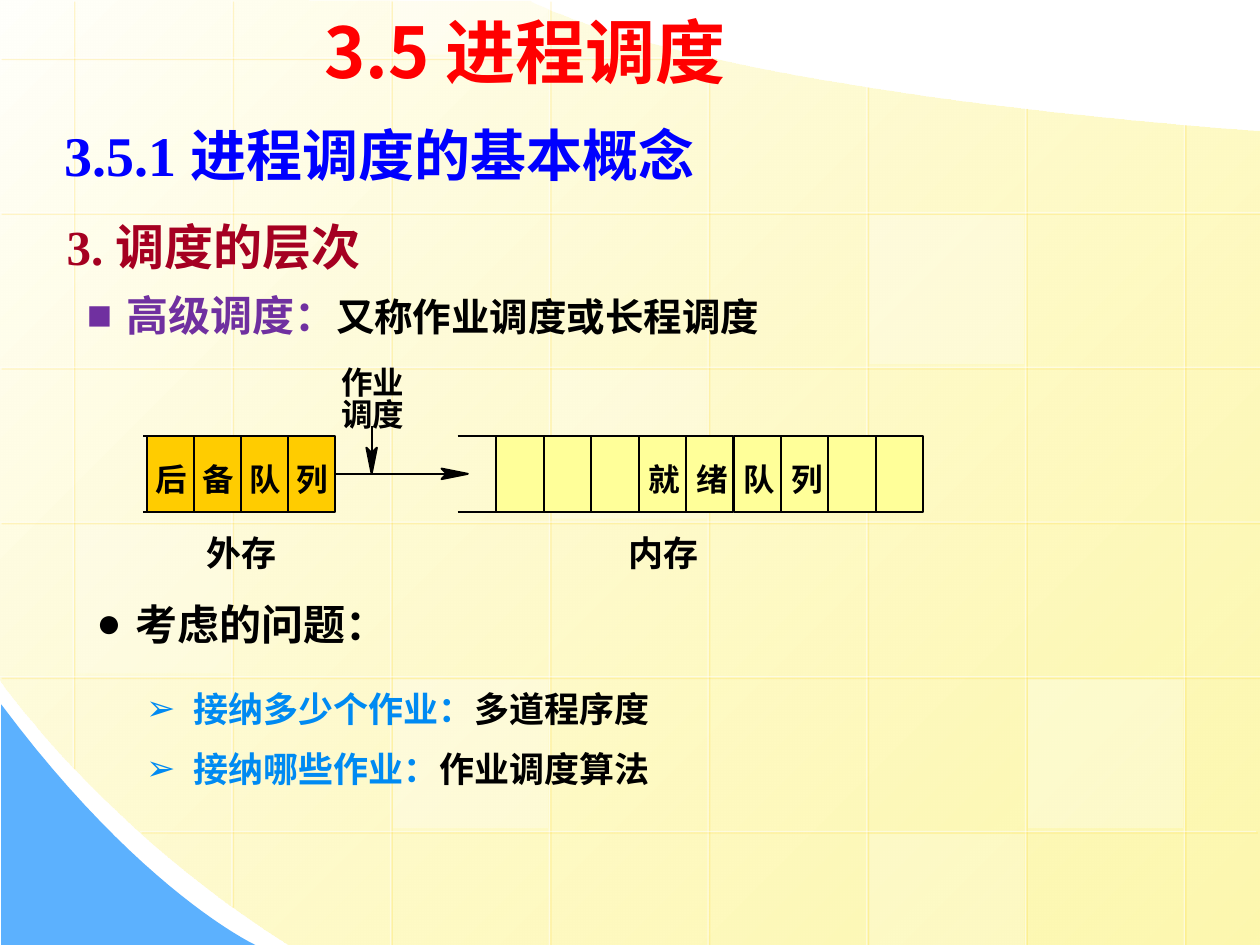
import pptx
import pptx.util
import pptx.dml.color
import pptx.enum.shapes
import pptx.enum.text
import pptx.oxml.ns
import lxml.etree

Pt = pptx.util.Pt
qn = pptx.oxml.ns.qn
RECT = pptx.enum.shapes.MSO_SHAPE.RECTANGLE
LINE = pptx.enum.shapes.MSO_CONNECTOR.STRAIGHT

THEME = {
    "black": "000000", "white": "FFFFFF", "red": "FF0000", "blue": "0000FF",
    "wine": "A50021", "plum": "7030A0", "azure": "008AF2",
    "gold": "FFCC00", "lemon": "FFFF99", "sky": "5CB1FE",
    "cream": "FFFFFB", "straw": "FDF58D",
    "title": 40, "head": 32, "sub": 28, "item": 24, "note": 22, "small": 20, "cell": 18,
    "han": "Noto Sans CJK SC", "sans": "Arial", "serif": "Times New Roman",
    "thin": 0.75, "edge": 1.13, "lead": 1.2,
}

# Content: a run is (text, size, colour, font)
# A block is (left, top, width, height), lead, mark, hang, paragraphs
BLOCKS = [
    ((29.5, 65.5, 478, 46), 1.2, None, 0, [[
        ("3.5.1 进程调度的基本概念", "head", "blue", "serif")]]),
    ((31, 110, 420, 51), 1.56, None, 0, [[
        ("3. 调度的层次", "sub", "wine", "serif")]]),
    ((42.5, 162, 459, 36), 1.2, "■", 22.5, [[
        ("高级调度：", "item", "plum", "sans"),
        ("又称作业调度或长程调度", "note", "black", "sans")]]),
    ((48, 337.7, 544, 68), 1.22, "●", 22.5, [[
        ("考虑的问题：", "item", "black", "sans")]]),
    ((76.5, 383, 360, 73), 1.52, "➢", 27, [
        [("接纳多少个作业：", "small", "azure", "han"), ("多道程序度", "small", "black", "han")],
        [("接纳哪些作业：", "small", "azure", "han"), ("作业调度算法", "small", "black", "han")]]),
]
TITLE = [[("3.5 进程调度", "title", "red", "han")]]
# Queue: left, step, colour, cell count, first labelled cell, label, label inset, rail ends
QUEUES = [
    (84.2, 26.8, "gold", 4, 0, "后备队列", 4.8, (82, 109.5)),
    (283.7, 27.1, "lemon", 9, 3, "就绪队列", 5.8, (261.5, 283.7)),
]
LABELS = [("作业", 195, 207.4, "cell"), ("调度", 195, 226, "cell"),
          ("外存", 118, 303.8, "small"), ("内存", 359.3, 303.8, "small")]
COLS = [(0, 438.5), (0, 517.7), (0, 540), (0, 541.4), (31, 541.4), (49, 541.4),
        (61.2, 541.4), (70.6, 541.4)]
ROWS = [(409, 0)] + [(720.7, 0)] * 4 + [(717.8, 80)]
TILES = [(3, 2, 25), (6, 4, 30), (0, 3, 20), (5, 5, 20), (2, -1, 40), (2, 4, 30), (5, 1, 30)]
COL, ROW = 90.7, 88.4
TOP, TALL = 249, 43.6
MID = TOP + TALL / 2

deck = pptx.Presentation()
deck.slide_width, deck.slide_height = Pt(720), Pt(540)
slide = deck.slides.add_slide(deck.slide_layouts[6])
shapes = slide.shapes


def rgb(name):
    return pptx.dml.color.RGBColor.from_string(THEME[name])


def tag(node, name, **attrs):
    return lxml.etree.SubElement(node, qn(name), **attrs)


def fade(node, pct):
    tag(node, "a:alpha", val=str(pct * 1000))


def paint(shape, fill, edge=None):
    shape.shadow.inherit = False
    shape.fill.solid()
    shape.fill.fore_color.rgb = rgb(fill)
    if edge:
        shape.line.color.rgb = rgb(edge)
        shape.line.width = Pt(THEME["edge"])
    else:
        shape.line.fill.background()
    return shape


def box(left, top, wide, tall, fill, edge=None):
    return paint(shapes.add_shape(RECT, Pt(left), Pt(top), Pt(wide), Pt(tall)), fill, edge)


def rule(x1, y1, x2, y2, tint="black", width="edge"):
    line = shapes.add_connector(LINE, Pt(x1), Pt(y1), Pt(x2), Pt(y2))
    line.line.color.rgb = rgb(tint)
    line.line.width = Pt(THEME[width])
    tag(line._element.spPr, "a:effectLst")
    return line


def grid(*ends):
    props = rule(*ends, "white", "thin")._element.spPr
    fade(props.find(".//" + qn("a:srgbClr")), 50)
    glow = tag(props.find(qn("a:effectLst")), "a:outerShdw", dist="17780", dir="2700000")
    fade(tag(glow, "a:srgbClr", val=THEME["gold"]), 34)


def curve(a, b, c, d, count=24):
    for i in range(1, count + 1):
        t = i / count
        s = 1 - t
        yield tuple(s**3 * p + 3 * s * s * t * q + 3 * s * t * t * r + t**3 * u
                    for p, q, r, u in zip(a, b, c, d))


def outline(dots):
    dots = [(Pt(x), Pt(y)) for x, y in dots]
    pen = shapes.build_freeform(*dots[0], scale=1.0)
    pen.add_line_segments(dots[1:], close=True)
    return pen.convert_to_shape()


def dart(x, y, dx, dy):
    """Notched arrowhead with its tip at x, y."""
    steps = [(0, 0), (-15, 3), (-12, 0), (-15, -3)]
    dots = [(x + a * dx - b * dy, y + a * dy + b * dx) for a, b in steps]
    paint(outline(dots), "black", "black")


def write(area, paras, lead=None, mark=None, hang=0, inset=True):
    frame = shapes.add_textbox(*map(Pt, area)).text_frame
    frame.word_wrap = True
    if not inset:
        frame.margin_left = frame.margin_right = frame.margin_top = frame.margin_bottom = 0
    for i, runs in enumerate(paras):
        para = frame.add_paragraph() if i else frame.paragraphs[0]
        if mark:
            props = para._p.get_or_add_pPr()
            props.set("marL", str(Pt(hang)))
            props.set("indent", str(-Pt(hang)))
            tag(props, "a:buFont", typeface=THEME["sans"])
            tag(props, "a:buChar", char=mark)
        if lead:
            para.line_spacing = Pt(round(lead * THEME[runs[0][1]], 1))
        if i:
            para.space_before = Pt(3.9)
        for text, size, tint, face in runs:
            run = para.add_run()
            run.text = text
            run.font.size, run.font.bold = Pt(THEME[size]), True
            run.font.name, run.font.color.rgb = THEME[face], rgb(tint)
            tag(run._r.rPr, "a:ea", typeface=THEME["han"])
    return frame


def label(text, left, top, size):
    em = THEME[size]
    # A little spare width keeps each label on one line
    write((left, top, em * len(text) + 4, em * 1.2), [[(text, size, "black", "sans")]],
          THEME["lead"], inset=False)


# Backdrop: pale sweep and blue corner
sweep = paint(outline([(720, 75), (720, 540), (166, 540),
                       *curve((166, 540), (62, 476), (-0.7, 388), (0, 388)),
                       (-0.7, -0.7), (303, 0.7),
                       *curve((303, 0.7), (303, 0.7), (387, 50), (720, 75))]), "cream")
sweep.fill.gradient()
sweep.fill.gradient_angle = 315
for stop, tint in zip(sweep.fill.gradient_stops, ("cream", "straw")):
    stop.color.rgb = rgb(tint)
fade(sweep._element.spPr.findall(".//" + qn("a:srgbClr"))[1], 70)
paint(outline([(0.7, 402.5), (0.7, 540), (146, 540),
               *curve((146, 540), (146, 540), (81, 510), (0.7, 402.5))]), "sky")

# Grid lines and pale tiles
for i, (start, end) in enumerate(COLS):
    grid(41.8 + i * COL, start, 41.8 + i * COL, end)
for i, (start, end) in enumerate(ROWS):
    grid(start, 33.1 + i * ROW, end, 33.1 + i * ROW)
for col, row, pct in TILES:
    top = 34.6 + row * ROW
    low = min(540, top + 85)
    top = max(0, top)
    tile = box(43.3 + col * COL, top, 88.5, low - top, "white")
    fade(tile._element.spPr.find(".//" + qn("a:srgbClr")), pct)

# Title and text blocks
frame = write((178.5, -2, 415, 62), TITLE)
frame.vertical_anchor = pptx.enum.text.MSO_ANCHOR.MIDDLE
for area, lead, mark, hang, paras in BLOCKS:
    write(area, paras, lead, mark, hang)

# Queues with open rails at the left
tails = []
for left, step, fill, count, first, word, inset, rail in QUEUES:
    cells = [box(left + i * step, TOP, step, TALL, fill, "black") for i in range(count)]
    tails.append(cells[-1])
    for i, char in enumerate(word, first):
        label(char, left + i * step + inset, 262.8, "cell")
    for y in (TOP, TOP + TALL):
        rule(rail[0], y, rail[1], y)

# Flow arrows and captions
flow = rule(191.4, MID, 255.6, MID)
flow.begin_connect(tails[0], 3)
dart(267.3, MID, 1, 0)
rule(212.4, 243.4, 212.4, MID)
dart(212.4, MID, 0, 1)
for part in LABELS:
    label(*part)

deck.save("out.pptx")
